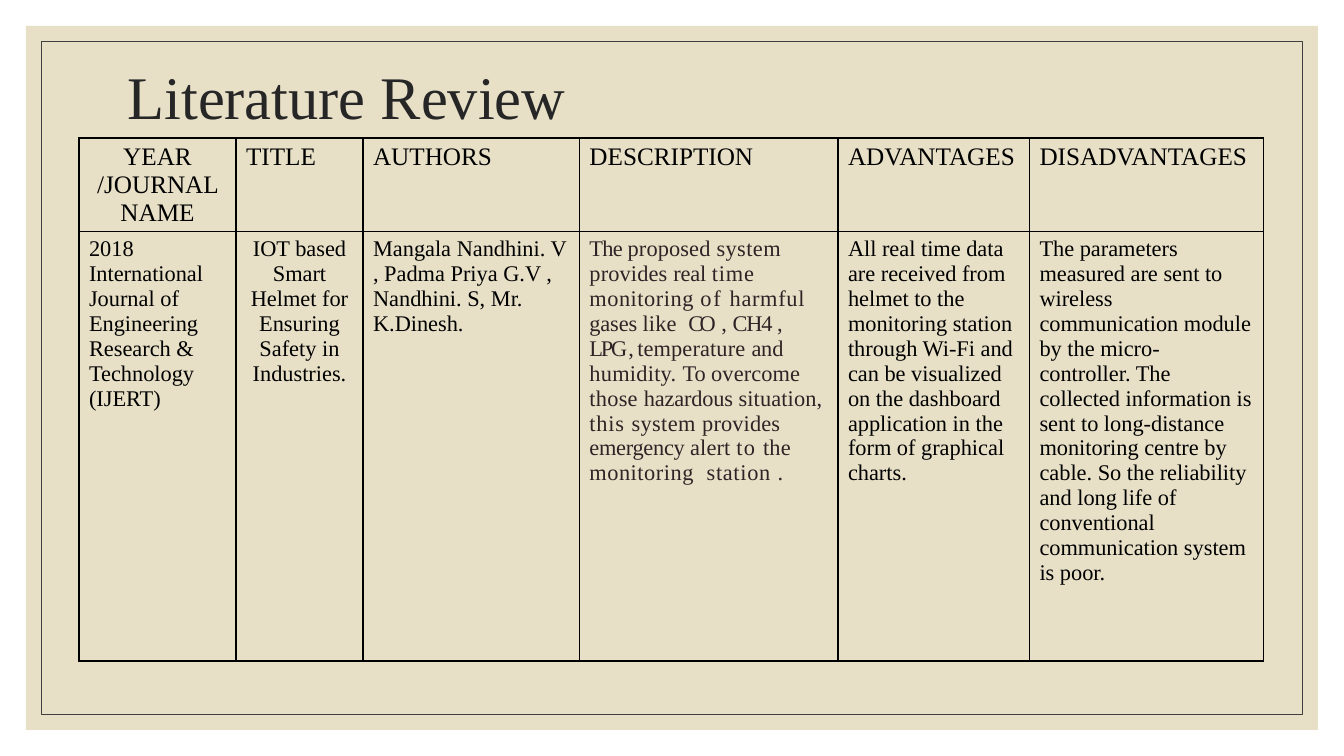
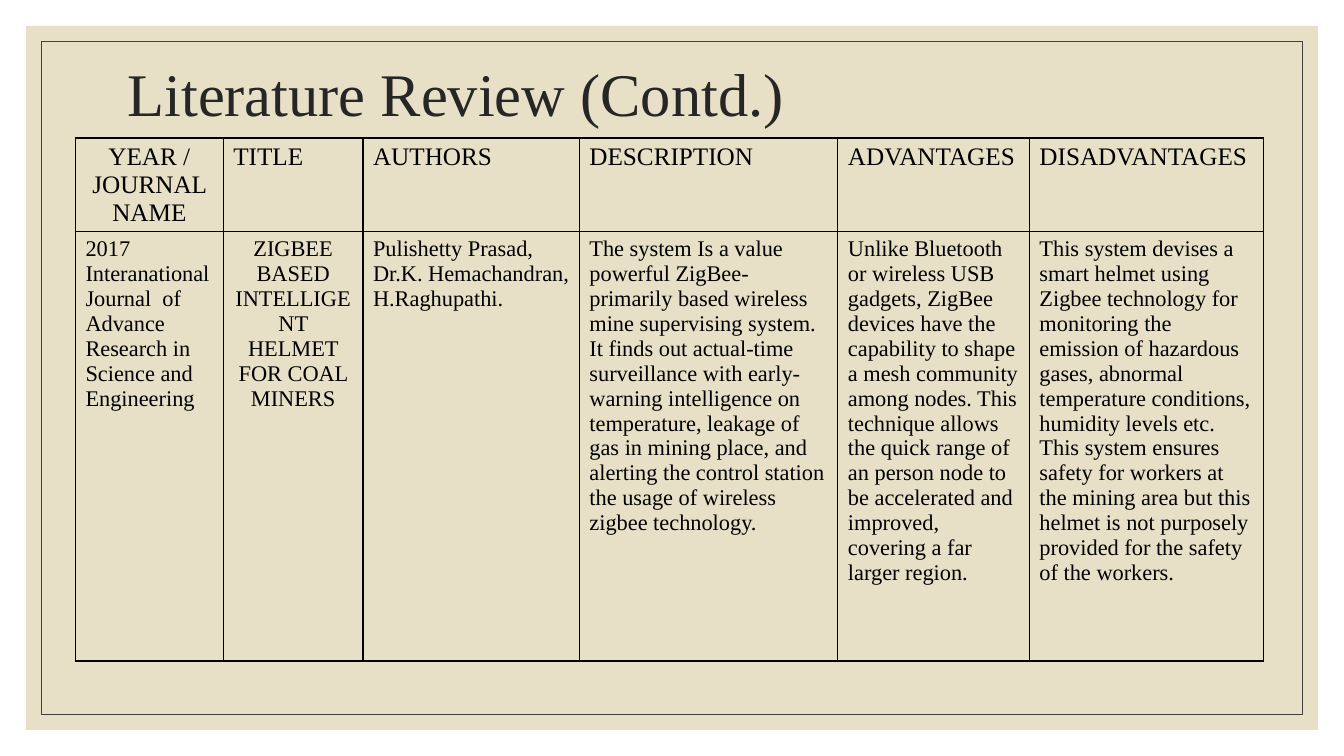
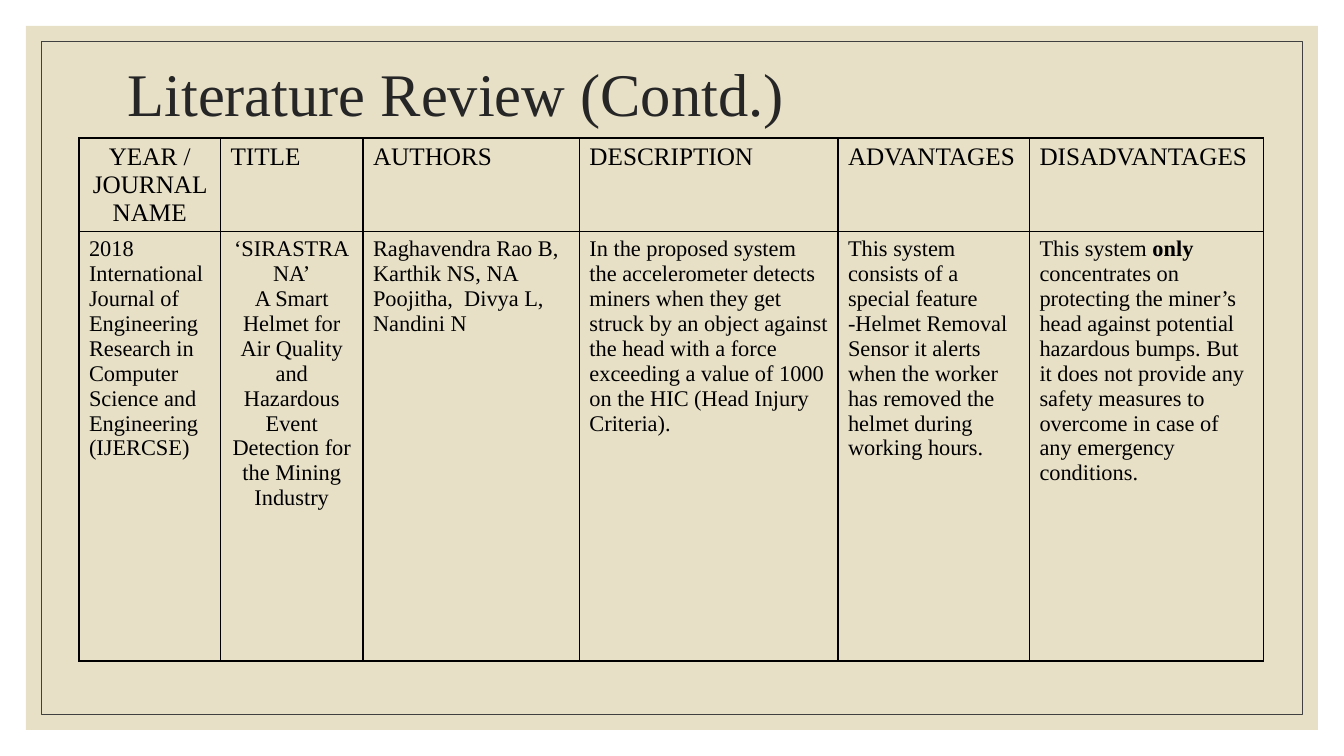
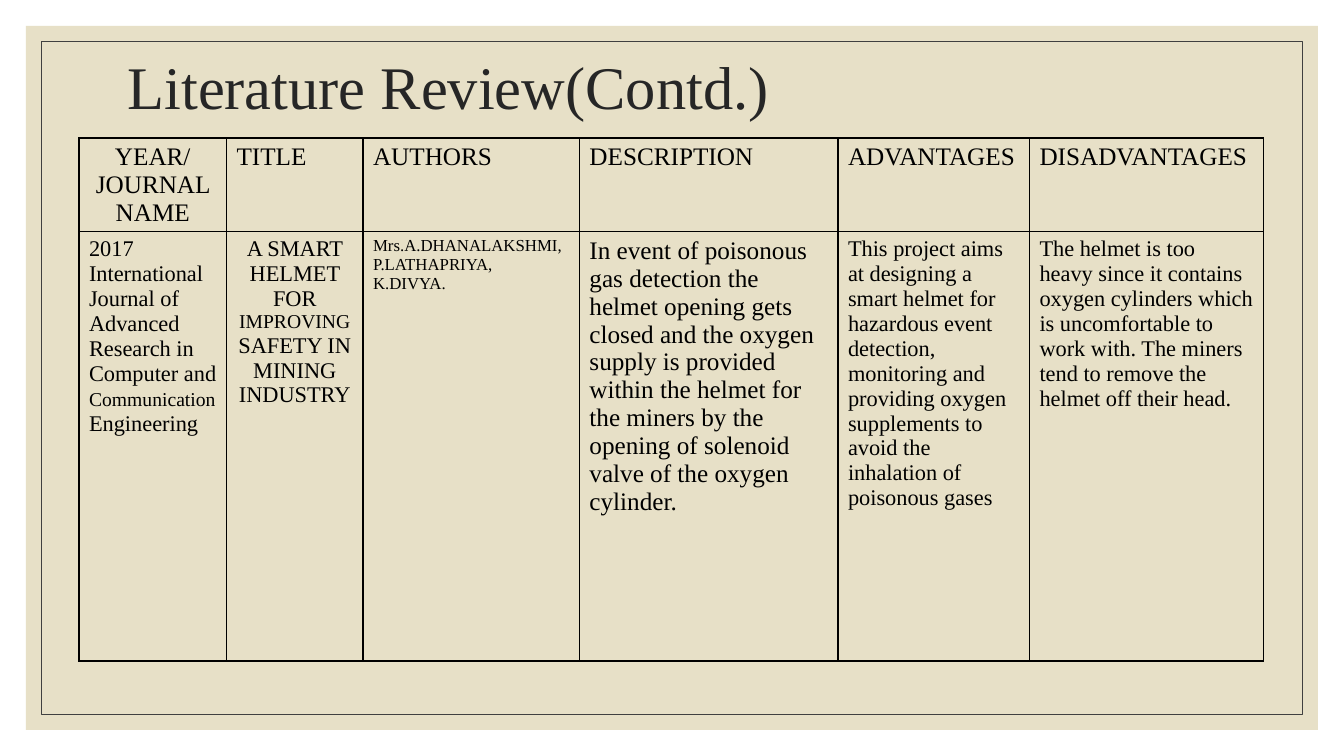
from lxml.etree import SubElement
from pptx import Presentation
from pptx.dml.color import RGBColor
from pptx.enum.shapes import MSO_SHAPE
from pptx.enum.text import MSO_ANCHOR, MSO_AUTO_SIZE, PP_ALIGN
from pptx.oxml import parse_xml
from pptx.oxml.ns import nsdecls, qn
from pptx.util import Pt

SAND = RGBColor(0xE7, 0xE0, 0xC7)
GREY = RGBColor(0x40, 0x40, 0x40)
DARK = RGBColor(0x26, 0x26, 0x26)
BLACK = RGBColor(0, 0, 0)
PLUM = RGBColor(0x2F, 0x23, 0x25)
FONT = "Times New Roman"
WIDE, HIGH = 960, 540

# Table grid: the first two columns vary, the others are shared
TOP = 98.6
MID = 259.3
REST = (154.6, 184.7, 136.8, 167.1)
ROWS = (67, 306.5)
HEADS = ("TITLE", "AUTHORS", "DESCRIPTION", "ADVANTAGES", "DISADVANTAGES")

# Runs of the first description: text and letter spacing in points
ALERT = (
    [("The ", -0.5), ("proposed ", 0.1), ("system ", 0.3), ("provides ", 0.1),
     ("real ", -0.1), ("time ", 0.6), ("monitoring ", 0.4), ("of ", 1.2),
     ("harmful ", 0.5), ("gases ", -0.1), ("like  ", 0.1), ("CO", -2.5),
     (" , ", 0), ("CH4 ", -0.8), (",", -0.1)],
    [("LPG , ", -1.6), ("temperature ", 0.1), ("and ", -0.1),
     ("humidity. ", 0.2), ("To ", -0.1), ("overcome ", 0.1), ("those ", 0.2),
     ("hazardous ", -0.1), ("situation, ", 0.1), ("this ", 0.6),
     ("system ", 0.3), ("provides ", 0.1), ("emergency ", -0.2),
     ("alert ", 0.1), ("to ", 0.9), ("the ", 0.1), ("monitoring  ", 0.4),
     ("station ", 0.5), (".", -0.5)],
)

# One entry per slide: title, its top and height, table left, first column's
# right edge, first heading, then six cells. A cell is a text or a tuple of
# paragraphs; a paragraph is a text or a list of (text, style) runs.
SLIDES = [
    ("Literature Review", 50, 43, 56.4, 168.6, "YEAR /JOURNAL NAME", (
        ("2018", "International Journal of Engineering Research & "
         "Technology (IJERT)"),
        "IOT based Smart Helmet for Ensuring Safety in Industries.",
        "Mangala Nandhini. V , Padma Priya G.V , Nandhini. S, Mr. K.Dinesh.",
        tuple([(text, {"gap": gap, "color": PLUM}) for text, gap in para]
              for para in ALERT),
        "All real time data are received from helmet to the monitoring "
        "station through Wi-Fi and can be visualized on the dashboard "
        "application in the form of graphical charts.",
        "The parameters measured are sent to wireless communication module "
        "by the micro- controller. The collected information is sent to "
        "long-distance monitoring centre by cable. So the reliability and "
        "long life of conventional communication system is poor.")),
    ("Literature Review (Contd.)", 50, 39, 53.9, 159.5, "YEAR / JOURNAL NAME", (
        ("2017", "Interanational Journal  of Advance Research in Science "
         "and Engineering"),
        "ZIGBEE BASED INTELLIGENT HELMET FOR COAL MINERS",
        "Pulishetty Prasad, Dr.K. Hemachandran, H.Raghupathi.",
        "The system Is a value powerful ZigBee-primarily based wireless mine "
        "supervising system. It finds out actual-time surveillance with "
        "early-warning intelligence on temperature, leakage of gas in mining "
        "place, and alerting the control station the usage of wireless "
        "zigbee technology.",
        "Unlike Bluetooth or wireless USB gadgets, ZigBee devices have the "
        "capability to shape a mesh community among nodes. This technique "
        "allows the quick range of an person node to be accelerated and "
        "improved, covering a far larger region.",
        "This system devises a smart helmet using Zigbee technology for "
        "monitoring the emission of hazardous gases, abnormal temperature "
        "conditions, humidity levels etc. This system ensures safety for "
        "workers at the mining area but this helmet is not purposely "
        "provided for the safety of the workers.")),
    ("Literature Review (Contd.)", 50, 39, 56.4, 157.5, "YEAR / JOURNAL NAME", (
        ("2018", "International Journal of Engineering Research in Computer "
         "Science and Engineering (IJERCSE)"),
        ("‘SIRASTRANA’", "A Smart Helmet for Air Quality and Hazardous Event "
         "Detection for the Mining Industry"),
        "Raghavendra Rao B,  Karthik NS, NA Poojitha,  Divya L, Nandini N",
        "In the proposed system the accelerometer detects miners when they "
        "get struck by an object against the head with a force exceeding a "
        "value of 1000 on the HIC (Head Injury Criteria).",
        "This system consists of a special feature -Helmet Removal Sensor it "
        "alerts when the worker has removed the helmet during working hours.",
        ([("This system", {}), (" only ", {"bold": True}),
          ("concentrates on protecting the miner’s head against potential "
           "hazardous bumps. But it does not provide any safety measures to "
           "overcome in case of any emergency conditions.", {})],))),
    ("Literature Review(Contd.)", 36, 56, 56.4, 161.8, "YEAR/ JOURNAL NAME", (
        ("2017", [
            ("International Journal of Advanced Research in Computer and ", {}),
            ("Communication", {"size": 14}), (" Engineering", {})]),
        ([("A SMART HELMET FOR ", {}), ("IMPROVING ", {"size": 14}),
          ("SAFETY IN MINING INDUSTRY", {})],),
        ([("Mrs.A.DHANALAKSHMI, P.LATHAPRIYA, K.DIVYA.", {"size": 12})],),
        ([("In event of poisonous gas detection the helmet opening gets "
           "closed and the oxygen supply is provided within the helmet for "
           "the miners by the opening of solenoid valve of the oxygen "
           "cylinder.", {"size": 18})],),
        "This project aims at designing a smart helmet for hazardous event "
        "detection, monitoring and  providing oxygen supplements to avoid "
        "the inhalation of poisonous gases",
        "The helmet is too heavy since it contains oxygen cylinders which is "
        "uncomfortable to work with. The miners tend to remove the helmet "
        "off their head.")),
]


def style(run, size, color=BLACK, bold=False, gap=0):
    font = run.font
    font.name, font.size, font.bold = FONT, Pt(size), bold
    font.color.rgb = color
    if gap:
        run._r.get_or_add_rPr().set("spc", str(round(gap * 100)))


# Sand panel and thin frame, kept on the layout behind every slide
def add_frame(slide, layout):
    for holder in list(layout.placeholders)[1:]:
        holder.element.getparent().remove(holder.element)
    for spot, inset in enumerate((18.6, 29.4)):
        rect = slide.shapes.add_shape(
            MSO_SHAPE.RECTANGLE, Pt(inset), Pt(inset),
            Pt(WIDE - 2 * inset), Pt(HIGH - 2 * inset))
        rect.shadow.inherit = False
        if spot == 0:
            rect.fill.solid()
            rect.fill.fore_color.rgb = SAND
            rect.line.fill.background()
        else:
            rect.fill.background()
            rect.line.color.rgb = GREY
            rect.line.width = Pt(0.5)
        layout.shapes.element.insert(2 + spot, rect.element)


def add_title(slide, text, top, high):
    title = slide.shapes.title
    title.left, title.top = Pt(84), Pt(top)
    title.width, title.height = Pt(792), Pt(high)
    frame = title.text_frame
    frame.text = text
    frame.auto_size = MSO_AUTO_SIZE.NONE
    frame.vertical_anchor = MSO_ANCHOR.MIDDLE
    para = frame.paragraphs[0]
    para.alignment = PP_ALIGN.LEFT
    para.line_spacing = 0.9
    style(para.runs[0], 43.2, DARK)


def add_edges(cell):
    props = cell._tc.get_or_add_tcPr()
    for spot, side in enumerate("LRTB"):
        edge = parse_xml(f'<a:ln{side} {nsdecls("a")} w="12700"/>')
        fill = SubElement(edge, qn("a:solidFill"))
        SubElement(fill, qn("a:srgbClr")).set("val", str(BLACK))
        props.insert(spot, edge)


def fill_cell(cell, content, size, align):
    cell.fill.background()
    add_edges(cell)
    paras = (content,) if isinstance(content, str) else content
    frame = cell.text_frame
    for num, runs in enumerate(paras):
        para = frame.add_paragraph() if num else frame.paragraphs[0]
        para.alignment = align
        for text, look in [(runs, {})] if isinstance(runs, str) else runs:
            run = para.add_run()
            run.text = text
            style(run, **{"size": size, **look})


def add_grid(slide, left, split, head, body):
    widths = (split - left, MID - split, *REST)
    table = slide.shapes.add_table(
        2, len(widths), Pt(left), Pt(TOP), Pt(sum(widths)), Pt(sum(ROWS))).table
    table.first_row = table.horz_banding = False
    for col, width in zip(table.columns, widths):
        col.width = Pt(width)
    # Heading row centres its first cell, body row its second
    for num, (texts, size) in enumerate((((head, *HEADS), 18), (body, 16))):
        table.rows[num].height = Pt(ROWS[num])
        for col, content in enumerate(texts):
            align = PP_ALIGN.CENTER if col == num else PP_ALIGN.LEFT
            fill_cell(table.cell(num, col), content, size, align)


def main():
    deck = Presentation()
    deck.slide_width, deck.slide_height = Pt(WIDE), Pt(HIGH)
    layout = deck.slide_layouts[5]
    for num, (text, top, high, *grid) in enumerate(SLIDES):
        slide = deck.slides.add_slide(layout)
        if num == 0:
            add_frame(slide, layout)
        add_title(slide, text, top, high)
        add_grid(slide, *grid)
    deck.save("out.pptx")


if __name__ == "__main__":
    main()
